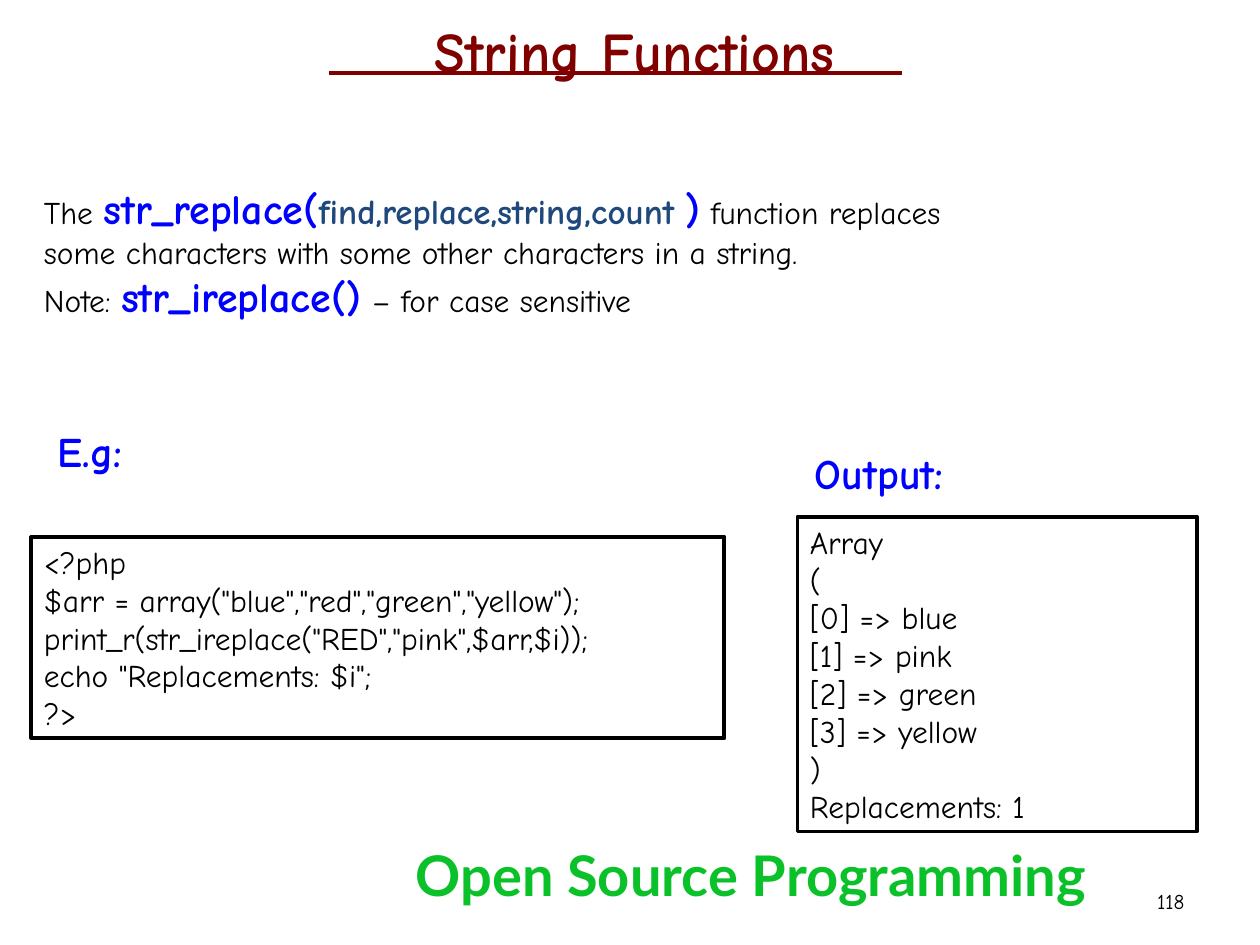
from dataclasses import dataclass

from lxml.etree import SubElement
from pptx import Presentation
from pptx.dml.color import RGBColor
from pptx.enum.shapes import MSO_CONNECTOR as Connector, MSO_SHAPE as Shape
from pptx.enum.text import MSO_ANCHOR as Anchor, MSO_AUTO_SIZE as AutoSize, PP_ALIGN as Align
from pptx.oxml.ns import qn
from pptx.util import Inches, Pt


@dataclass(frozen=True)
class Theme:
    """Colours, fonts and type sizes of the slide."""
    ink: str = "000000"
    accent: str = "0000FF"
    params: str = "1F497D"
    title: str = "800000"
    footer: str = "0BC129"
    font: str = "Comic Neue"
    footer_font: str = "Lato"
    small: int = 12
    body: int = 18
    medium: int = 20
    large: int = 24
    display: int = 32


T = Theme()


def style(size=T.body, color=T.ink, bold=False, name=T.font):
    """Return the format values of a run."""
    return {"size": Pt(size), "bold": bold, "name": name, "color": color}


BODY = style()
KEY = style(T.large, T.accent, True)
PARAMS = style(T.medium, T.params, True)
TITLE = style(T.display, T.title, True)
FOOTER = style(T.display, T.footer, True, T.footer_font)
NUMBER = style(T.small)

EXAMPLE = """<?php
$arr = array("blue","red","green","yellow");
print_r(str_ireplace("RED","pink",$arr,$i));
echo "Replacements: $i";
?>"""
OUTPUT = """Array
(
[0] => blue
[1] => pink
[2] => green
[3] => yellow
)
Replacements: 1"""


def add_run(p, text, fmt):
    """Append one formatted run to a paragraph."""
    r = p.add_run()
    r.text = text
    for key, value in fmt.items():
        if key == "color":
            r.font.color.rgb = RGBColor.from_string(value)
        else:
            setattr(r.font, key, value)


def fill_text(sp, paragraphs, align=Align.LEFT, anchor=Anchor.TOP, grow=True):
    """Write paragraphs of (text, format) runs, with line breaks, into a shape."""
    tf = sp.text_frame
    frame = {"word_wrap": True, "vertical_anchor": anchor,
             "auto_size": AutoSize.SHAPE_TO_FIT_TEXT if grow else AutoSize.NONE}
    for key, value in frame.items():
        setattr(tf, key, value)
    for i, runs in enumerate(paragraphs):
        p = tf.add_paragraph() if i else tf.paragraphs[0]
        p.alignment = align
        for text, fmt in runs:
            for n, line in enumerate(text.split("\n")):
                if n:
                    p.add_line_break()
                add_run(p, line, fmt)


def add_text(shapes, box, paragraphs, **layout):
    """Add a text box at a (left, top, width, height) box in inches."""
    fill_text(shapes.add_textbox(*map(Inches, box)), paragraphs, **layout)


def add_title(shapes, box, text):
    """Add the centred title and the rule across it."""
    left, top, _, _ = box
    group = shapes.add_group_shape().shapes
    add_text(group, box, [[(text, TITLE)]], align=Align.CENTER)
    y = Inches(top + 0.5)
    rule = group.add_connector(Connector.STRAIGHT, Inches(left + 0.11), y, Inches(left + 4.66), y)
    rule.line.color.rgb = RGBColor.from_string(T.title)
    rule.line.width = Pt(2)
    SubElement(rule._element.spPr, qn("a:effectLst"))


def add_listing(shapes, box, heading, code, indent, drop):
    """Add a heading and, a drop below it, a framed listing down to the box foot."""
    left, top, width, height = box
    frame = (left, top + drop, width, height - drop)
    sp = shapes.add_shape(Shape.RECTANGLE, *map(Inches, frame))
    sp.shadow.inherit = False
    sp.fill.background()
    sp.line.color.rgb = RGBColor.from_string(T.ink)
    sp.line.width = Pt(2.25)
    fill_text(sp, [[(code, BODY)]], anchor=Anchor.MIDDLE)
    add_text(shapes, (left + indent, top, 2.8, 0.5), [[(heading, KEY)]])


def add_description(shapes, box):
    """Add the explanation of the two functions."""
    add_text(shapes, box, [
        [("The ", BODY), ("str_replace(", KEY), ("find,replace,string,count", PARAMS),
         (" ", BODY), (")", KEY),
         (" function replaces some characters with some other characters in a string.", BODY)],
        [("Note: ", BODY), ("str_ireplace()", KEY), (" – for case sensitive", BODY)],
    ], anchor=Anchor.MIDDLE)


def add_footer(shapes, box):
    """Add the course name and the slide number."""
    left, top, width, height = box
    add_text(shapes, (left, top, 5.92, height), [[("Open Source Programming", FOOTER)]],
             align=Align.CENTER)
    add_text(shapes, (left + width - 2.33, top + 0.33, 2.33, 0.4), [[("118", NUMBER)]],
             align=Align.RIGHT, anchor=Anchor.MIDDLE, grow=False)


def main():
    """Build and save the slide."""
    prs = Presentation()
    prs.slide_width, prs.slide_height = Inches(10), Inches(7.5)
    shapes = prs.slides.add_slide(prs.slide_layouts[6]).shapes
    add_description(shapes, (0.25, 1.4, 7.92, 1.2))
    add_footer(shapes, (3, 6.62, 6.5, 0.64))
    add_title(shapes, (2.5, 0.08, 5.08, 0.64), "String Functions")
    example = shapes.add_group_shape().shapes
    add_listing(example, (0.25, 3.33, 5.5, 2.53), "E.g:", EXAMPLE, indent=0.11, drop=0.93)
    add_listing(shapes, (6.33, 3.5, 3.17, 3.1), "Output:", OUTPUT, indent=0.04, drop=0.6)
    prs.save("out.pptx")


if __name__ == "__main__":
    main()
